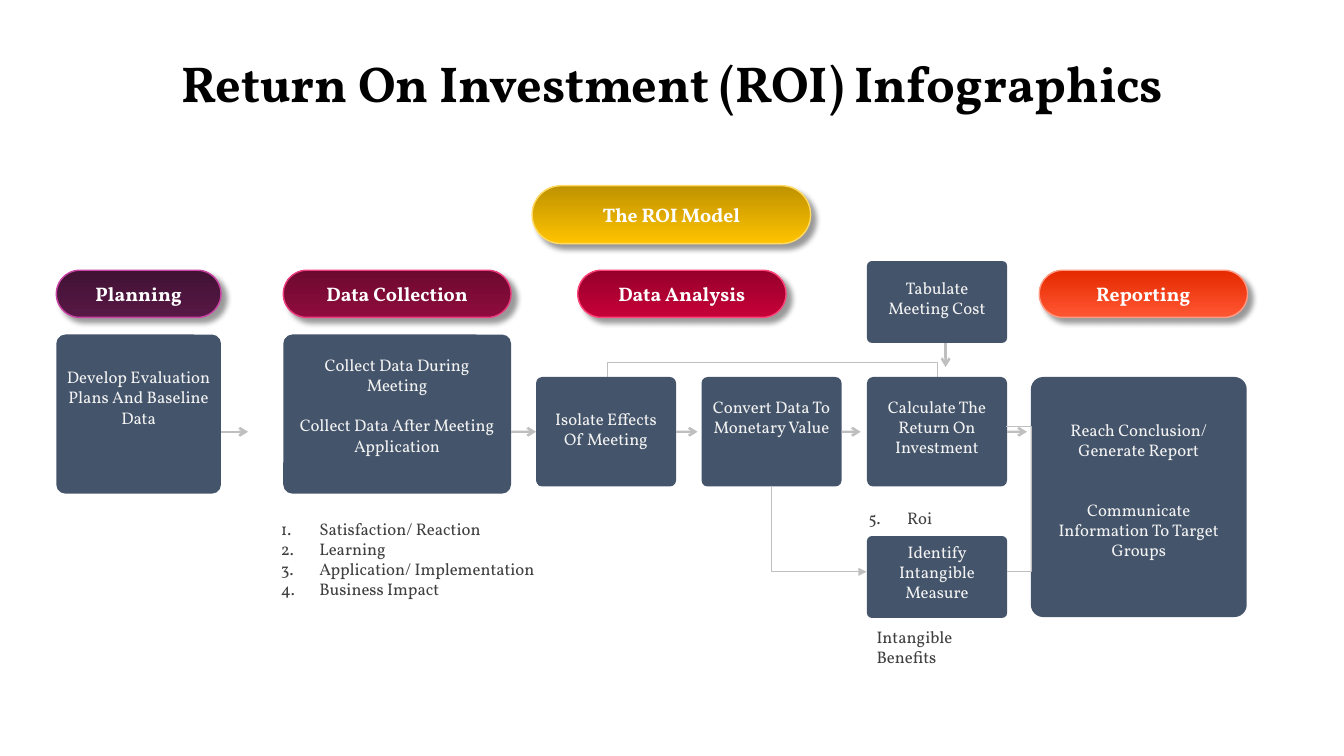
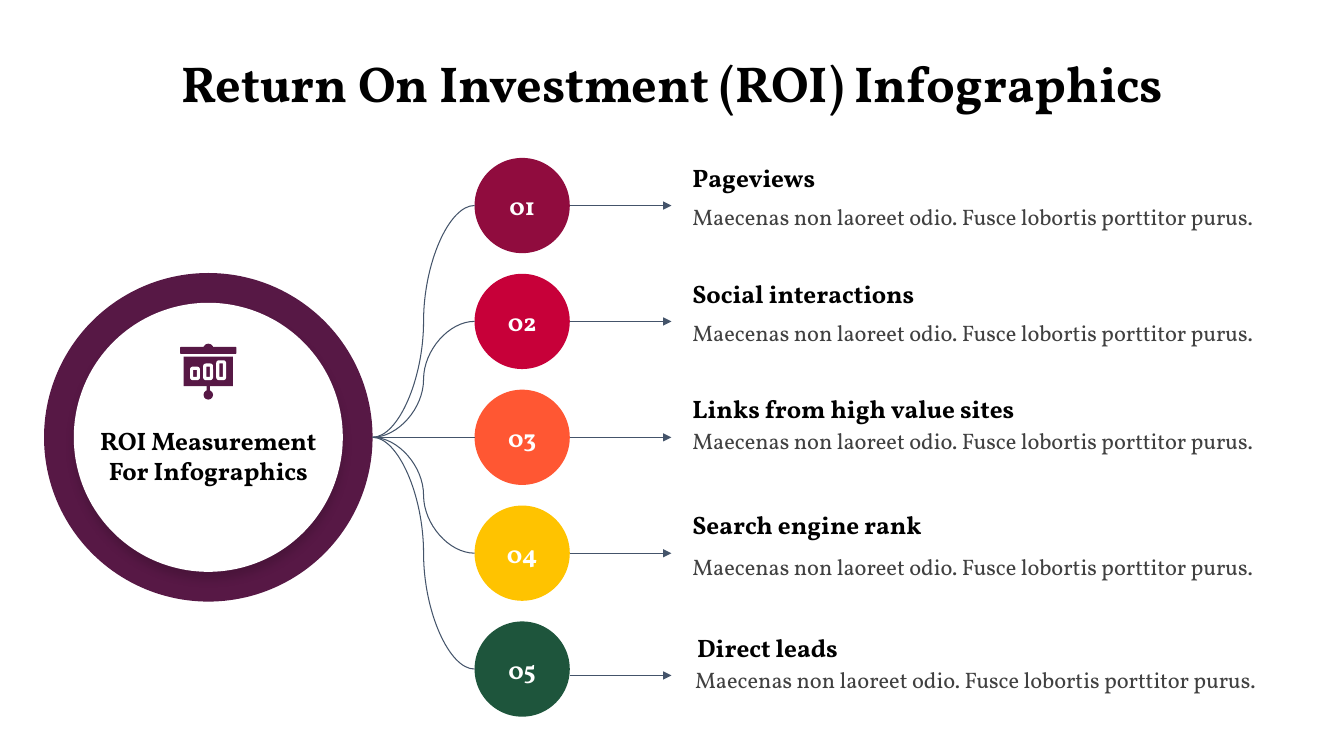
from dataclasses import dataclass
from typing import Optional, Sequence

from lxml.etree import SubElement
from pptx import Presentation
from pptx.dml.color import RGBColor
from pptx.enum.shapes import MSO_CONNECTOR as Route, MSO_SHAPE as Preset
from pptx.enum.text import MSO_ANCHOR as Anchor, PP_ALIGN as Align
from pptx.oxml.ns import qn
from pptx.shapes.autoshape import Shape
from pptx.shapes.connector import Connector
from pptx.slide import Slide
from pptx.util import Cm, Pt


@dataclass(frozen=True)
class Theme:
    font: str = "Vollkorn"
    black: str = "000000"
    white: str = "FFFFFF"
    pale: str = "F2F2F2"
    body: str = "404040"
    slate: str = "44546A"
    flow: str = "BFBFBF"
    plum: str = "571845"
    wine: str = "900C3E"
    crimson: str = "C70039"
    coral: str = "FF5733"
    gold: str = "FFC300"
    green: str = "1E553C"
    title_size: float = 36
    heading_size: float = 18
    note_size: float = 16
    phase_size: float = 14
    step_size: float = 12
    step_line: float = 14.3
    corner: float = 0.057
    inset: float = 0.25
    inset_top: float = 0.13


THEME = Theme()


@dataclass(frozen=True)
class Box:
    left: float
    top: float
    width: float
    height: float

    @property
    def right(self) -> float:
        return self.left + self.width

    @property
    def bottom(self) -> float:
        return self.top + self.height

    def lengths(self) -> tuple:
        return Cm(self.left), Cm(self.top), Cm(self.width), Cm(self.height)


@dataclass(frozen=True)
class Style:
    size: float
    color: str
    bold: bool = False
    align: Align = Align.LEFT


@dataclass(frozen=True)
class Shadow:
    alpha: int
    blur: float
    distance: float
    angle: int


@dataclass(frozen=True)
class Phase:
    label: str
    box: Box
    bright: str
    dark: str


@dataclass(frozen=True)
class Step:
    lines: Sequence[str]
    box: Box
    drop: float
    side: float = 0.0
    gap_lines: int = 0


@dataclass(frozen=True)
class Bend:
    frame: Box
    preset: str
    adjust: Optional[float] = None
    rotation: int = 0
    flips: Sequence[str] = ()
    head: Optional[str] = None


@dataclass(frozen=True)
class Metric:
    heading: str
    accent: str
    note_top: float
    heading_left: float = 17.2
    note_left: float = 17.2
    drop: float = 0.0


TITLE = "Return On Investment (ROI) Infographics"
NOTE = "Maecenas non laoreet odio. Fusce lobortis porttitor purus."
TITLE_STYLE = Style(THEME.title_size, THEME.black, True, Align.CENTER)
PHASE_STYLE = Style(THEME.phase_size, THEME.white, True, Align.CENTER)
STEP_STYLE = Style(THEME.step_size, THEME.pale, align=Align.CENTER)
REMARK_STYLE = Style(THEME.step_size, THEME.body)
HUB_STYLE = Style(THEME.heading_size, THEME.black, True, Align.CENTER)
NUMBER_STYLE = Style(THEME.heading_size, THEME.white, True, Align.CENTER)
HEADING_STYLE = Style(THEME.heading_size, THEME.black, True)
NOTE_STYLE = Style(THEME.note_size, THEME.body)

PHASE_TOP, PHASE_HEIGHT = 6.81, 1.19
PHASES = (
    Phase("The ROI Model", Box(13.41, 4.68, 7.02, 1.46), THEME.gold, "BF9200"),
    Phase("Planning", Box(1.42, PHASE_TOP, 4.15, PHASE_HEIGHT), THEME.plum, "411234"),
    Phase("Data Collection", Box(7.14, PHASE_TOP, 5.74, PHASE_HEIGHT), THEME.wine, "6C092E"),
    Phase("Data Analysis", Box(14.56, PHASE_TOP, 5.25, PHASE_HEIGHT), THEME.crimson, "95002B"),
    Phase("Reporting", Box(26.19, PHASE_TOP, 5.25, PHASE_HEIGHT), THEME.coral, "E52900"),
)

FLOW_Y = 10.88
PLANNING = Box(1.42, 8.43, 4.15, 4.01)
COLLECTION = Box(7.14, 8.43, 5.74, 4.01)
ISOLATE, CONVERT, CALCULATE = (
    Box(round(13.51 + 4.17 * i, 2), 9.5, 3.53, 2.76) for i in range(3)
)
TABULATE = Box(CALCULATE.left, 6.58, 3.53, 2.06)
INTANGIBLE = Box(CALCULATE.left, 13.51, 3.53, 2.06)
REPORT = Box(25.98, 9.5, 5.44, 6.05)

STEPS = (
    Step(("Develop Evaluation", "Plans And Baseline Data"), PLANNING, 0.69),
    Step(("Collect Data During Meeting", "Collect Data After Meeting Application"),
         COLLECTION, 0.38, gap_lines=1),
    Step(("Isolate Effects Of Meeting",), ISOLATE, 0.66),
    Step(("Convert Data To Monetary Value",), CONVERT, 0.36),
    Step(("Calculate The Return On Investment",), CALCULATE, 0.36),
    Step(("Tabulate Meeting Cost",), TABULATE, 0.28),
    Step(("Reach Conclusion/ Generate Report", "Communicate Information To Target Groups"),
         REPORT, 0.94, side=0.4, gap_lines=2),
    Step(("Identify Intangible Measure",), INTANGIBLE, 0),
)

RETURN_LOOP = Bend(Box(19.44, 5.35, 0.04, 8.33), "bentConnector3", 10, 90, ("flipH", "flipV"))
SIDE_LINKS = (
    Bend(Box(25.35, 10.74, 0.04, 3.66), "bentConnector3", 16),
    Bend(Box(19.56, 12.13, 2.15, 2.41), "bentConnector2", None, 270, ("flipH",), "triangle"),
)

METRICS = (
    Metric("Pageviews", THEME.wine, 5.0),
    Metric("Social interactions", THEME.crimson, 7.9),
    Metric("Links from high value sites", THEME.coral, 10.64),
    Metric("Search engine rank", THEME.gold, 13.82),
    Metric("Direct leads", THEME.green, 16.66, 17.32, 17.27, 0.16),
)


def write(shape: Shape, lines: Sequence[str], style: Style, anchor: Anchor = Anchor.TOP,
          side: float = THEME.inset, top: float = THEME.inset_top, gap: float = 0,
          number_from: Optional[int] = None) -> None:
    frame = shape.text_frame
    frame.text = "\n".join(lines)
    frame.word_wrap = True
    frame.vertical_anchor = anchor
    frame.margin_left = frame.margin_right = Cm(side)
    frame.margin_top, frame.margin_bottom = Cm(top), Cm(THEME.inset_top)
    for index, paragraph in enumerate(frame.paragraphs):
        paragraph.alignment = style.align
        if index and gap:
            paragraph.space_before = Pt(gap)
        if number_from is not None:
            props = paragraph._p.get_or_add_pPr()
            props.set("marL", str(Cm(0.97)))
            props.set("indent", str(-Cm(0.97)))
            SubElement(props, qn("a:buAutoNum"), type="arabicPeriod", startAt=str(number_from))
        for run in paragraph.runs:
            run.font.name = THEME.font
            run.font.size = Pt(style.size)
            run.font.bold = style.bold
            run.font.color.rgb = RGBColor.from_string(style.color)


def add_label(slide: Slide, box: Box, lines: Sequence[str], style: Style, **options) -> None:
    write(slide.shapes.add_textbox(*box.lengths()), lines, style, **options)


def add_solid(slide: Slide, preset: Preset, box: Box, color: str,
              corner: Optional[float] = None) -> Shape:
    shape = slide.shapes.add_shape(preset, *box.lengths())
    shape.shadow.inherit = False
    shape.fill.solid()
    shape.fill.fore_color.rgb = RGBColor.from_string(color)
    shape.line.fill.background()
    if corner is not None:
        shape.adjustments[0] = corner
    return shape


def cast_shadow(shape: Shape, shadow: Shadow) -> None:
    effects = shape.element.spPr.find(qn("a:effectLst"))
    outer = SubElement(effects, qn("a:outerShdw"), blurRad=str(Pt(shadow.blur)),
                       dist=str(Pt(shadow.distance)), dir=str(shadow.angle * 60000),
                       algn="ctr", rotWithShape="0")
    tint = SubElement(outer, qn("a:srgbClr"), val=THEME.black)
    SubElement(tint, qn("a:alpha"), val=str(shadow.alpha * 1000))


def add_link(slide: Slide, route: Route, start: tuple, end: tuple, color: str,
             weight: float, head: Optional[str] = None) -> Connector:
    link = slide.shapes.add_connector(route, *(Cm(v) for v in (*start, *end)))
    link.line.color.rgb = RGBColor.from_string(color)
    link.line.width = Pt(weight)
    props = link.element.spPr
    if head:
        SubElement(props.find(qn("a:ln")), qn("a:tailEnd"), type=head)
    SubElement(props, qn("a:effectLst"))
    return link


def add_bend(slide: Slide, bend: Bend) -> None:
    frame = bend.frame
    link = add_link(slide, Route.ELBOW, (frame.left, frame.top), (frame.right, frame.bottom),
                    THEME.flow, 0.5, bend.head)
    transform = link.element.spPr.find(qn("a:xfrm"))
    transform.set("rot", str(bend.rotation * 60000))
    for flip in bend.flips:
        transform.set(flip, "1")
    geometry = link.element.spPr.find(qn("a:prstGeom"))
    geometry.set("prst", bend.preset)
    if bend.adjust is not None:
        guides = geometry.find(qn("a:avLst"))
        if guides is None:
            guides = SubElement(geometry, qn("a:avLst"))
        SubElement(guides, qn("a:gd"), name="adj1", fmla=f"val {round(bend.adjust * 100000)}")


def add_phase(slide: Slide, phase: Phase) -> None:
    pill = add_solid(slide, Preset.ROUNDED_RECTANGLE, phase.box, phase.bright, 0.5)
    pill.fill.gradient()
    pill.fill.gradient_angle = 90
    for stop, color in zip(pill.fill.gradient_stops, (phase.bright, phase.dark)):
        stop.color.rgb = RGBColor.from_string(color)
    pill.line.color.rgb = RGBColor.from_string(phase.bright)
    pill.line.color.brightness = 0.4
    pill.line.width = Pt(1)
    cast_shadow(pill, Shadow(40, 4, 5, 45))
    write(pill, (phase.label,), PHASE_STYLE, Anchor.MIDDLE)


def add_step(slide: Slide, step: Step) -> Shape:
    card = add_solid(slide, Preset.ROUNDED_RECTANGLE, step.box, THEME.slate, THEME.corner)
    rounding = 0.29 * THEME.corner * min(step.box.width, step.box.height)
    write(card, step.lines, STEP_STYLE, side=THEME.inset + step.side - rounding,
          top=THEME.inset_top + step.drop - rounding, gap=step.gap_lines * THEME.step_line)
    return card


def add_board_icon(slide: Slide, middle: float) -> None:
    for preset, top, width, height in (
        (Preset.OVAL, 8.66, 0.26, 0.26),
        (Preset.ROUNDED_RECTANGLE, 8.74, 1.42, 0.18),
        (Preset.RECTANGLE, 8.99, 1.24, 0.74),
        (Preset.RECTANGLE, 9.7, 0.08, 0.2),
        (Preset.OVAL, 9.83, 0.24, 0.24),
    ):
        add_solid(slide, preset, Box(middle - width / 2, top, width, height), THEME.plum)
    for index in range(3):
        top = 9.28 - 0.08 * index
        bar = add_solid(slide, Preset.ROUNDED_RECTANGLE,
                        Box(middle - 0.42 + 0.33 * index, top, 0.17, 9.54 - top), THEME.plum)
        bar.line.color.rgb = RGBColor.from_string(THEME.white)
        bar.line.width = Pt(2.25)


def add_title(slide: Slide) -> None:
    add_label(slide, Box(0, 1.19, 33.87, 1.8), (TITLE,), TITLE_STYLE)


def build_model(slide: Slide) -> None:
    add_bend(slide, RETURN_LOOP)
    for phase in PHASES:
        add_phase(slide, phase)
    cards = {step.box: add_step(slide, step) for step in STEPS}
    for source, tip in ((PLANNING, 6.25), (COLLECTION, ISOLATE.left), (ISOLATE, 17.58),
                        (CONVERT, 21.69), (CALCULATE, 25.88)):
        arrow = add_link(slide, Route.STRAIGHT, (source.right, FLOW_Y), (tip, FLOW_Y),
                         THEME.flow, 1.75, "arrow")
        if source in (ISOLATE, CONVERT, CALCULATE):
            arrow.begin_connect(cards[source], 3)
        if tip == ISOLATE.left:
            arrow.end_connect(cards[ISOLATE], 1)
    add_link(slide, Route.STRAIGHT, (23.83, TABULATE.bottom), (23.83, 9.25),
             THEME.flow, 1.75, "arrow")
    add_label(slide, Box(6.83, 12.93, 7.42, 2.31),
              ("Satisfaction/ Reaction", "Learning", "Application/ Implementation",
               "Business Impact"), REMARK_STYLE, number_from=1)
    add_label(slide, Box(21.64, 12.67, 3.28, 0.76), ("Roi",), REMARK_STYLE, number_from=5)
    add_label(slide, Box(21.84, 15.67, 3.28, 1.27), ("Intangible Benefits",), REMARK_STYLE)
    for bend in SIDE_LINKS:
        add_bend(slide, bend)
    add_title(slide)


def build_measurement(slide: Slide) -> None:
    first, pitch, node = 5.18, 2.92, 2.4
    node_left, node_right = 11.96, 14.36
    hub_x, hub_y = 5.25, first + 2 * pitch
    ring, core = 8.28, 6.78
    add_solid(slide, Preset.OVAL, Box(hub_x - ring / 2, hub_y - ring / 2, ring, ring), THEME.plum)
    disc = add_solid(slide, Preset.OVAL, Box(hub_x - core / 2, hub_y - core / 2, core, core),
                     THEME.white)
    cast_shadow(disc, Shadow(15, 6.8, 5.2, 90))
    add_label(slide, Box(1.91, 10.36, 6.68, 2.24), ("ROI Measurement For Infographics",),
              HUB_STYLE, anchor=Anchor.MIDDLE)
    add_board_icon(slide, hub_x)
    for index, metric in enumerate(METRICS):
        y = first + pitch * index
        circle = add_solid(slide, Preset.OVAL, Box(node_left, y - node / 2, node, node),
                           metric.accent)
        write(circle, (f"{index + 1:02}",), NUMBER_STYLE, Anchor.MIDDLE)
        arrow_y = y + metric.drop
        add_link(slide, Route.STRAIGHT, (node_right, arrow_y), (16.92, arrow_y),
                 THEME.slate, 0.75, "triangle")
        add_link(slide, Route.CURVE, (hub_x + ring / 2, hub_y), (node_left, y), THEME.slate, 0.75)
        add_label(slide, Box(metric.heading_left, arrow_y - 1.24, 14.22, 1.05),
                  (metric.heading,), HEADING_STYLE, anchor=Anchor.MIDDLE)
        add_label(slide, Box(metric.note_left, metric.note_top, 15.49, 1.63), (NOTE,), NOTE_STYLE)
    add_title(slide)


def main() -> None:
    deck = Presentation()
    deck.slide_width, deck.slide_height = Cm(33.87), Cm(19.05)
    for build in (build_model, build_measurement):
        build(deck.slides.add_slide(deck.slide_layouts[6]))
    deck.save("out.pptx")


if __name__ == "__main__":
    main()
